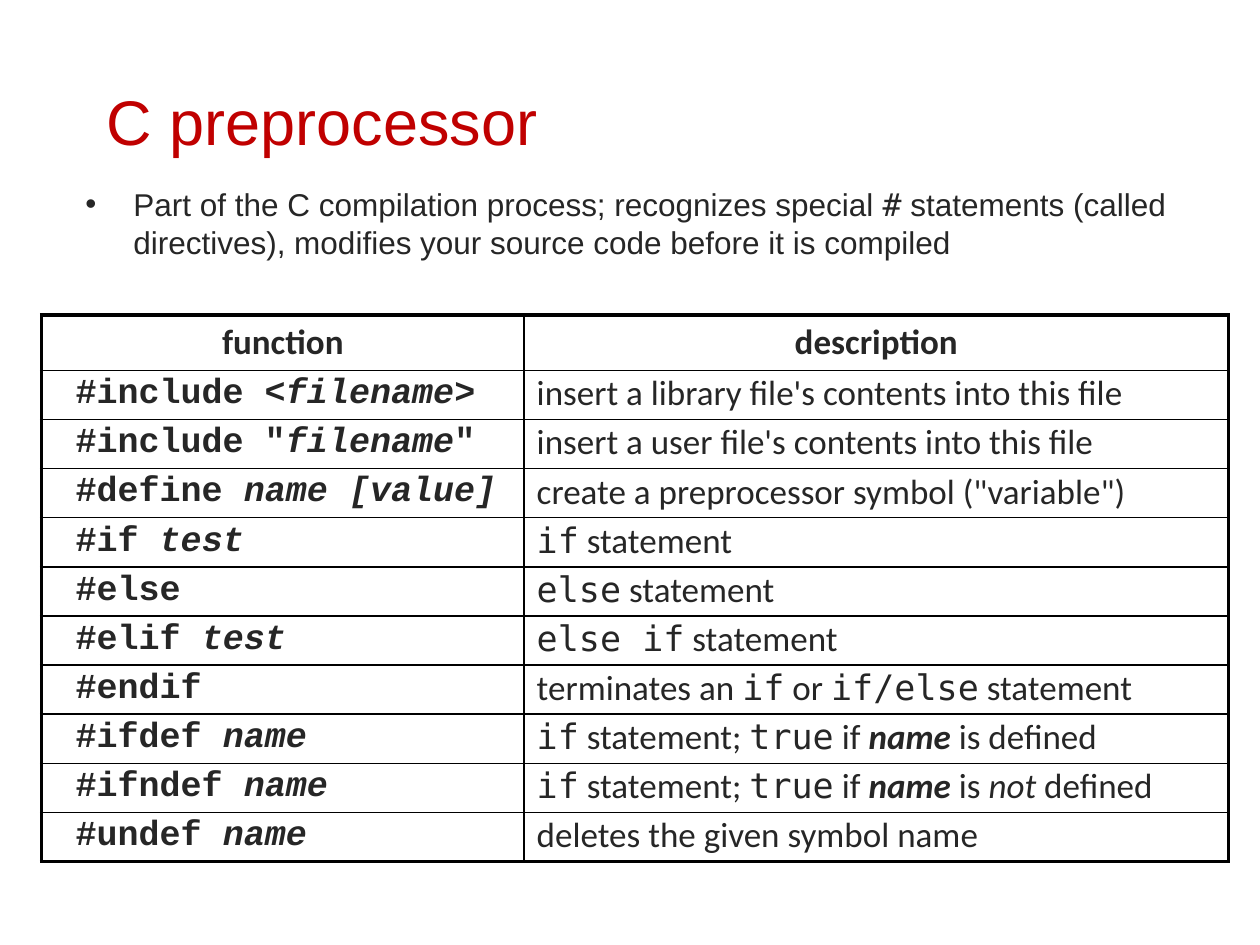
from lxml import etree
from pptx import Presentation
from pptx.dml.color import RGBColor
from pptx.enum.text import MSO_ANCHOR, PP_ALIGN
from pptx.oxml.ns import qn
from pptx.util import Inches, Pt

MIDDLE, TOP = MSO_ANCHOR.MIDDLE, MSO_ANCHOR.TOP
CENTER, LEFT = PP_ALIGN.CENTER, PP_ALIGN.LEFT
COLORS = {"title": "C00000", "text": "262626", "border": "000000"}
STYLES = {
    "code": {"font": "Courier New", "bold": True},
    "argument": {"font": "Courier New", "bold": True, "italic": True},
    "mono": {"font": "DejaVu Sans Mono"},
    "plain": {"font": "Calibri"},
    "strong": {"font": "Calibri", "bold": True, "italic": True},
    "emphasis": {"font": "Calibri", "italic": True},
    "header": {"font": "Calibri", "bold": True},
}
HEADERS = ("function", "description")
IF_TRUE = [("if", "mono"), (" statement; ", "plain"), ("true", "mono"),
           (" if ", "plain"), ("name", "strong")]
DIRECTIVES = [
    ([("#include <", "code"), ("filename", "argument"), (">", "code")],
     [("insert a library file's contents into this file", "plain")]),
    ([('#include "', "code"), ("filename", "argument"), ('"', "code")],
     [("insert a user file's contents into this file", "plain")]),
    ([("#define ", "code"), ("name [value]", "argument")],
     [('create a preprocessor symbol ("variable")', "plain")]),
    ([("#if ", "code"), ("test", "argument")],
     [("if", "mono"), (" statement", "plain")]),
    ([("#else", "code")],
     [("else", "mono"), (" statement", "plain")]),
    ([("#elif ", "code"), ("test", "argument")],
     [("else if", "mono"), (" statement", "plain")]),
    ([("#endif", "code")],
     [("terminates an ", "plain"), ("if", "mono"), (" or ", "plain"),
      ("if/else", "mono"), (" statement", "plain")]),
    ([("#ifdef ", "code"), ("name", "argument")],
     IF_TRUE + [(" is defined", "plain")]),
    ([("#ifndef ", "code"), ("name", "argument")],
     IF_TRUE + [(" is ", "plain"), ("not", "emphasis"), (" defined", "plain")]),
    ([("#undef ", "code"), ("name", "argument")],
     [("deletes the given symbol name", "plain")]),
]


def add_span(para, text, font="Arial", size=20, color="text", bold=False, italic=False):
    span = para.add_run()
    span.text = text
    span.font.name = font
    span.font.size = Pt(size)
    span.font.bold = bold
    span.font.italic = italic
    span.font.color.rgb = RGBColor.from_string(COLORS[color])


def add_text_box(page, box, anchor):
    frame = page.shapes.add_textbox(*(Inches(length) for length in box)).text_frame
    frame.word_wrap = True
    frame.vertical_anchor = anchor
    return frame.paragraphs[0]


def add_title(page, box):
    para = add_text_box(page, box, MIDDLE)
    add_span(para, "C preprocessor", size=36, color="title")


def add_summary(page, box):
    para = add_text_box(page, box, TOP)
    properties = para._p.get_or_add_pPr()
    properties.set("marL", str(Inches(0.38)))
    properties.set("indent", str(-Inches(0.38)))
    etree.SubElement(properties, qn("a:buFont"), typeface="Arial")
    etree.SubElement(properties, qn("a:buChar"), char="\u2022")
    add_span(para, "Part of the C compilation process; recognizes special ", size=18)
    add_span(para, "#", font="DejaVu Sans Mono", size=18)
    add_span(para, " statements (called directives), modifies your source code "
                   "before it is compiled", size=18)


def set_borders(cell, outer_sides):
    properties = cell._tc.get_or_add_tcPr()
    for side in "LRTB":
        width = Pt(2.25 if side in outer_sides else 1)
        line = etree.SubElement(properties, qn(f"a:ln{side}"), w=str(width))
        fill = etree.SubElement(line, qn("a:solidFill"))
        etree.SubElement(fill, qn("a:srgbClr"), val=COLORS["border"])


def fill_cell(cell, spans, margin, outer_sides, align=LEFT, spacing=0.85):
    set_borders(cell, outer_sides)
    cell.fill.background()
    cell.margin_left = Inches(margin)
    para = cell.text_frame.paragraphs[0]
    para.alignment = align
    para.line_spacing = spacing
    for text, style in spans:
        add_span(para, text, **STYLES[style])


def add_directive_table(page, box):
    left, top, width, height = box
    header_height = 0.44
    count = len(DIRECTIVES)
    frame = page.shapes.add_table(count + 1, 2, *(Inches(length) for length in box))
    table = frame.table
    table.horz_banding = False
    table.first_row = False
    function_width = 3.83
    table.columns[0].width = Inches(function_width)
    table.columns[1].width = Inches(width - function_width)
    table.rows[0].height = Inches(header_height)
    for column, text in enumerate(HEADERS):
        fill_cell(table.cell(0, column), [(text, "header")], 0.1,
                  "T" + "LR"[column], align=CENTER, spacing=1.0)
    for row, directive in enumerate(DIRECTIVES, 1):
        table.rows[row].height = Inches((height - header_height) / count)
        bottom = "B" if row == count else ""
        for column, spans in enumerate(directive):
            fill_cell(table.cell(row, column), spans, (0.27, 0.1)[column],
                      "LR"[column] + bottom)


def build_slide(deck):
    page = deck.slides.add_slide(deck.slide_layouts[6])
    add_title(page, (0.75, 0.33, 8.5, 1.25))
    add_summary(page, (0.58, 1.42, 9.42, 6.08))
    add_directive_table(page, (0.33, 2.5, 9.42, 4.34))


deck = Presentation()
deck.slide_width = Inches(10)
deck.slide_height = Inches(7.5)
build_slide(deck)
deck.save("out.pptx")
